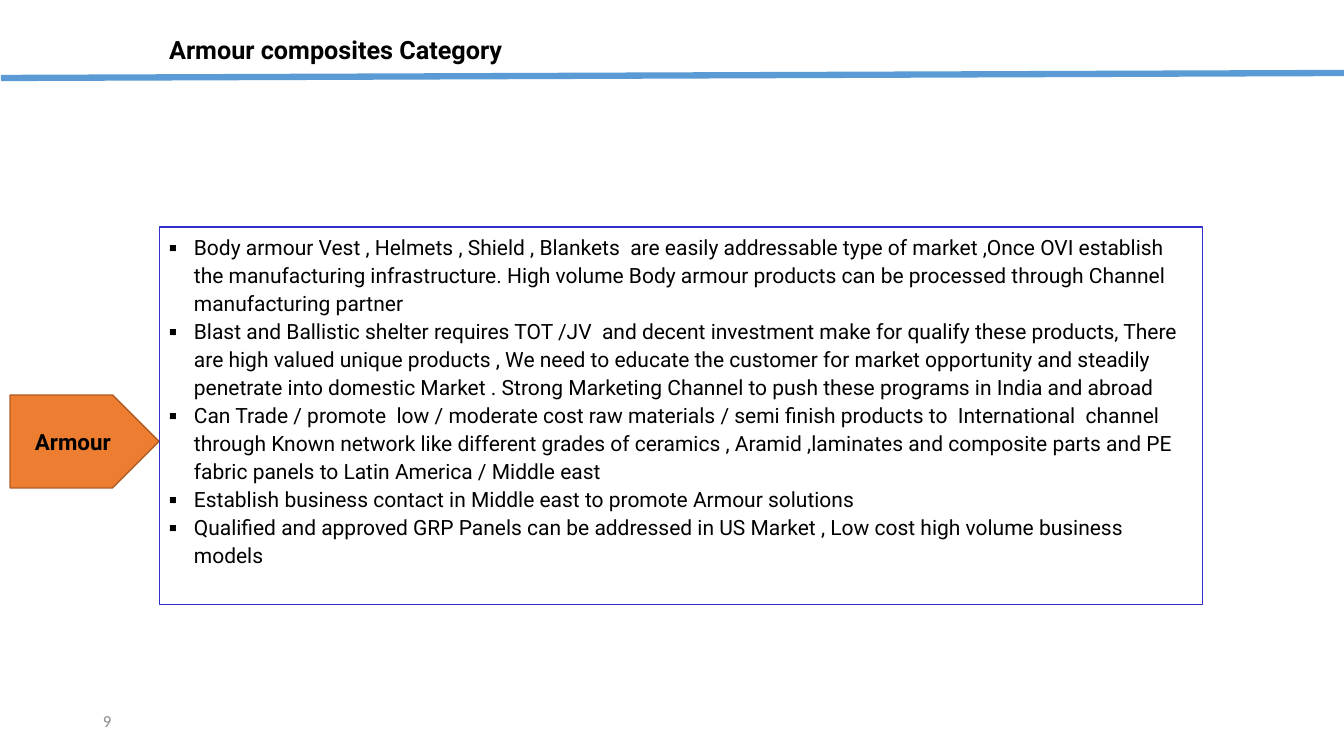
from lxml.etree import SubElement
from pptx import Presentation
from pptx.dml.color import RGBColor
from pptx.enum.shapes import MSO_CONNECTOR, MSO_SHAPE
from pptx.enum.text import MSO_ANCHOR, PP_ALIGN
from pptx.oxml.ns import qn
from pptx.util import Pt

WIDE, HIGH = 1344, 756
SCALE = 12192000 / WIDE
COLORS = {"ink": "000000", "gray": "8C8C8C", "tag": "ED7D31",
          "edge": "AF5C24", "frame": "3131C9", "rule": "5B9BD5"}
POINTS = [
    "Body armour Vest , Helmets , Shield , Blankets  are easily addressable "
    "type of market ,Once OVI establish the manufacturing infrastructure. "
    "High volume Body armour products can be processed through Channel "
    "manufacturing partner",
    "Blast and Ballistic shelter requires TOT /JV  and decent investment make "
    "for qualify these products, There are high valued unique products , We "
    "need to educate the customer for market opportunity and steadily "
    "penetrate into domestic Market . Strong Marketing Channel to push these "
    "programs in India and abroad",
    "Can Trade / promote  low / moderate cost raw materials / semi finish "
    "products to  International  channel through Known network like different "
    "grades of ceramics , Aramid ,laminates and composite parts and PE fabric "
    "panels to Latin America / Middle east",
    "Establish business contact in Middle east to promote Armour solutions",
    "Qualified and approved GRP Panels can be addressed in US Market , Low "
    "cost high volume business models",
]


def emu(px):
    """Turn pixels into EMU."""
    return round(px * SCALE)


def color(name):
    """Look up a named colour."""
    return RGBColor.from_string(COLORS[name])


def style(para, size, bold=False, ink="ink", face="Roboto", align=PP_ALIGN.LEFT):
    """Set the font and alignment of a paragraph."""
    font = para.font
    font.name, font.size, font.bold = face, Pt(size), bold
    font.color.rgb = color(ink)
    para.alignment = align


def stroke(line, name, width):
    """Set the colour and width of a line."""
    line.color.rgb = color(name)
    line.width = Pt(width)


def bullet(para, indent):
    """Give a paragraph a square bullet with a hanging indent."""
    props = para._p.get_or_add_pPr()
    props.set("marL", str(emu(indent)))
    props.set("indent", str(-emu(indent)))
    SubElement(props, qn("a:buFont"), typeface="Roboto")
    SubElement(props, qn("a:buChar"), char="▪")


def block(slide, kind, box, fill, edge, width):
    """Add a shape without shadow, filled or hollow."""
    shape = slide.shapes.add_shape(kind, *map(emu, box))
    shape.shadow.inherit = False
    if fill:
        shape.fill.solid()
        shape.fill.fore_color.rgb = color(fill)
    else:
        shape.fill.background()
    stroke(shape.line, edge, width)
    shape.text_frame.word_wrap = True
    return shape


def header(slide, box):
    """Place the title and the slanted rule below it."""
    left, top, width, height = box
    title = slide.shapes.title
    title.left, title.top, title.width, title.height = map(emu, box)
    frame = title.text_frame
    frame.text = "Armour composites Category"
    frame.vertical_anchor = MSO_ANCHOR.MIDDLE
    para = frame.paragraphs[0]
    style(para, 18, bold=True)
    para.line_spacing = 0.9
    base = top + height
    rule = slide.shapes.add_connector(
        MSO_CONNECTOR.STRAIGHT, emu(1), emu(base - 4), emu(WIDE), emu(base - 9))
    stroke(rule.line, "rule", 4.5)
    SubElement(rule._element.spPr, qn("a:effectLst"))


def tag(slide, box):
    """Place the category arrow."""
    shape = block(slide, MSO_SHAPE.PENTAGON, box, "tag", "edge", 1)
    frame = shape.text_frame
    frame.text = "Armour"
    frame.vertical_anchor = MSO_ANCHOR.MIDDLE
    style(frame.paragraphs[0], 16, bold=True, align=PP_ALIGN.CENTER)


def panel(slide, box):
    """Place the framed list of points."""
    frame = block(slide, MSO_SHAPE.RECTANGLE, box, None, "frame", 0.75).text_frame
    frame.vertical_anchor = MSO_ANCHOR.TOP
    frame.text = "\n".join(POINTS)
    for para in frame.paragraphs:
        style(para, 15)
        para.line_spacing = Pt(20)
        bullet(para, 25)


def footer(slide, box):
    """Place the page number."""
    frame = slide.shapes.add_textbox(*map(emu, box)).text_frame
    frame.word_wrap = True
    frame.vertical_anchor = MSO_ANCHOR.MIDDLE
    frame.text = "9"
    style(frame.paragraphs[0], 12, ink="gray", face="Calibri")


def main():
    """Build the slide and save it."""
    deck = Presentation()
    deck.slide_width, deck.slide_height = emu(WIDE), emu(HIGH)
    slide = deck.slides.add_slide(deck.slide_layouts[5])
    header(slide, (159, 20, 907, 62))
    footer(slide, (93, 701, 302, 40))
    tag(slide, (10, 395, 149, 93))
    panel(slide, (159, 227, 1044, 378))
    deck.save("out.pptx")


main()
